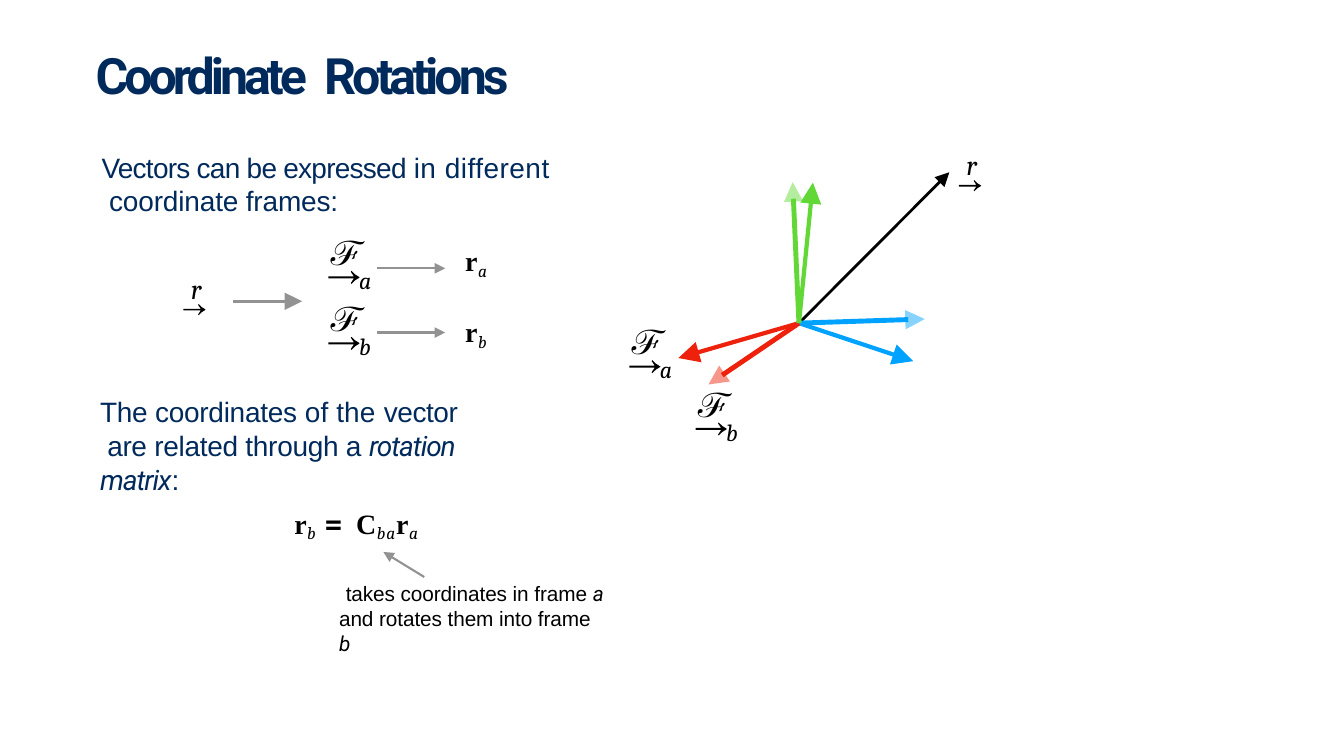
from collections import namedtuple
from dataclasses import dataclass
from math import hypot

from lxml.etree import SubElement
from pptx import Presentation
from pptx.dml.color import RGBColor as Rgb
from pptx.enum.shapes import MSO_CONNECTOR as Connector
from pptx.enum.text import MSO_ANCHOR as Anchor, MSO_AUTO_SIZE as AutoSize, PP_ALIGN as Align
from pptx.oxml.ns import qn
from pptx.util import Cm, Pt


@dataclass(frozen=True)
class Theme:
    navy: str = "002A5C"
    black: str = "000000"
    grey: str = "929292"
    blue: str = "00A2FF"
    red: str = "EE220C"
    green: str = "61D836"
    sans: str = "Arial"
    display: str = "Roboto"
    serif: str = "Times New Roman"
    math: str = "Cambria"
    symbol: str = "DejaVu Sans Mono"
    title: float = 59
    body: float = 33
    note: float = 24.5
    script: float = 39.5
    index: float = 28
    subscript: float = 35.2
    thin: float = 2.47


T = Theme()
BODY = dict(font=T.sans, size=T.body, color=T.navy)
NOTE = dict(font=T.sans, size=T.note)
VECTOR = dict(font=T.serif, size=T.body, bold=True)
SUBSCRIPT = dict(font=T.math, size=T.subscript, italic=True, baseline=-19)


class Box(namedtuple("Box", "left top width height")):
    def at(self, x, y):
        return self.left + x, self.top + y

    def inner(self, x, y, width, height):
        return Box(*self.at(x, y), width, height)


def write(paragraph, text, font=T.sans, size=T.body, color=T.black,
          bold=False, italic=False, spacing=0, baseline=0):
    for number, line in enumerate(text.split("\n")):
        if number:
            paragraph.add_line_break()
        if not line:
            continue
        run = paragraph.add_run()
        run.text = line
        run.font.name, run.font.size = font, Pt(size)
        run.font.bold, run.font.italic = bold, italic
        run.font.color.rgb = Rgb.from_string(color)
        properties = run.font._element
        properties.set("spc", str(round(spacing * 100)))
        if baseline:
            properties.set("baseline", str(baseline * 1000))


def prepare(frame, left=0.03):
    frame.word_wrap = True
    frame.auto_size = AutoSize.NONE
    frame.vertical_anchor = Anchor.TOP
    frame.margin_left = Cm(left)
    frame.margin_top = Cm(0.05)
    frame.margin_right = frame.margin_bottom = 0
    return frame


def text_frame(slide, box, left=0.03):
    return prepare(slide.shapes.add_textbox(*map(Cm, box)).text_frame, left)


def outline(slide, points, color):
    (x, y), *rest = [(Cm(x), Cm(y)) for x, y in points]
    builder = slide.shapes.build_freeform(x, y)
    builder.add_line_segments(rest)
    figure = builder.convert_to_shape()
    figure.shadow.inherit = False
    figure.fill.solid()
    figure.fill.fore_color.rgb = Rgb.from_string(color)
    figure.line.fill.background()
    return figure


def arrow(slide, start, tip, color=T.grey, width=T.thin, head=True):
    shaft = slide.shapes.add_connector(Connector.STRAIGHT, *map(Cm, (*start, *tip)))
    shaft.line.color.rgb = Rgb.from_string(color)
    shaft.line.width = Pt(width)
    if head:
        SubElement(shaft.line._get_or_add_ln(), qn("a:tailEnd"), type="triangle", w="lg", len="lg")
    SubElement(shaft._element.spPr, qn("a:effectLst"))


def faded_arrow(slide, start, tip, color, width=5.77, length=0.81, half=0.4):
    reach = hypot(tip[0] - start[0], tip[1] - start[1])
    ux, uy = ((t - s) / reach for s, t in zip(start, tip))
    back = lambda distance: (tip[0] - ux * distance, tip[1] - uy * distance)
    arrow(slide, start, back(length - 0.12), color, width, head=False)
    bx, by = back(length)
    corners = [(bx - uy * half, by + ux * half), (bx + uy * half, by - ux * half)]
    head = outline(slide, [tip, *corners], color)
    SubElement(head.fill.fore_color._xFill[0], qn("a:alpha"), val="47000")


def vector_mark(slide, start, length, half):
    x, y = start
    tip = x + length
    upper = [(x, 0.15), (tip - 0.86 * half, 0.15), (tip - 1.33 * half, 0.87),
             (tip - 1.24 * half, 1), (tip - 0.67 * half, 0.45), (tip, 0.04)]
    points = [(px, y - rise * half) for px, rise in upper]
    points += [(px, y + rise * half) for px, rise in reversed(upper)]
    outline(slide, points, T.black)


def vector_label(slide, box):
    letter = text_frame(slide, box.inner(0, 0, 0.53, 1.47))
    write(letter.paragraphs[0], "r", font=T.math, italic=True, spacing=-0.1)
    vector_mark(slide, box.at(-0.28, 1.62), 0.92, 0.23)


def frame_label(slide, box, name):
    letter = text_frame(slide, box.inner(0, 0, 1.35, 1.75))
    write(letter.paragraphs[0], "ℱ", font=T.symbol, size=T.script, spacing=3.6)
    vector_mark(slide, box.at(0.06, 1.93), 1.29, 0.27)
    index = text_frame(slide, box.inner(1.3, 1.4, 0.56, 1.27))
    write(index.paragraphs[0], name, font=T.math, size=T.index, italic=True, spacing=1.1)


def heading(slide, box):
    title = slide.shapes.title
    title.left, title.top, title.width, title.height = map(Cm, box)
    line = prepare(title.text_frame).paragraphs[0]
    line.alignment = Align.LEFT
    for text, spacing in (("Coordinate", -4.75), (" ", 5.5), ("Rotations", -4.7)):
        write(line, text, font=T.display, size=T.title, color=T.navy, bold=True, spacing=spacing)


def introduction(slide, box):
    sentence = text_frame(slide, box).paragraphs[0]
    write(sentence, "Vectors can be expressed ", **BODY, spacing=-0.87)
    write(sentence, "in different", **BODY, spacing=0.6)
    write(sentence, "\n coordinate frames:", **BODY, spacing=-0.2)


def frame_mapping(slide, box):
    vector_label(slide, box.inner(0.3, 1.65, 1, 2))
    arrow(slide, box.at(2.1, 2.92), box.at(4.95, 2.92), width=4.12)
    for row, name in enumerate("ab"):
        frame_label(slide, box.inner(5.99, 2.74 * row, 2, 2.7), name)
        level = 1.55 + 2.67 * row
        arrow(slide, box.at(8.05, level), box.at(10.9, level))
        components = text_frame(slide, box.inner(11.63, 0.41 + 2.94 * row, 1.14, 1.47), 0.1)
        write(components.paragraphs[0], "r", **VECTOR, spacing=0.5)
        write(components.paragraphs[0], name, **SUBSCRIPT, spacing=0.7)


def rotation_matrix(slide, box):
    body = text_frame(slide, box, 0)
    relation = body.paragraphs[0]
    equation, takes, rotates = (body.add_paragraph() for _ in range(3))
    for line, indent, before in ((relation, 0.1, 0), (takes, 10.31, 43.8), (rotates, 10.03, 0.2)):
        line._p.get_or_add_pPr().set("marL", str(Cm(indent)))
        line.space_before = Pt(before)

    write(relation, "The coordinates ", **BODY, spacing=-0.3)
    write(relation, "of the ", **BODY, spacing=0.2)
    write(relation, "vector\n are ", **BODY, spacing=-0.5)
    write(relation, "related through a ", **BODY, spacing=-0.35)
    write(relation, "rotation\nmatrix", **{**BODY, "font": T.display}, italic=True, spacing=-1.25)
    write(relation, ":", **BODY, spacing=-1.1)

    equation.alignment = Align.CENTER
    equation.space_before = Pt(10)
    write(equation, "r", **VECTOR, spacing=0.4)
    write(equation, "b", **SUBSCRIPT, spacing=0.6)
    write(equation, " ", **SUBSCRIPT, spacing=6)
    write(equation, "= ", font=T.symbol, bold=True, spacing=-3.4)
    for letter, index in (("C", "ba"), ("r", "a")):
        write(equation, letter, **VECTOR, spacing=0.7)
        write(equation, index, **SUBSCRIPT, spacing=1)

    frame_name = {**NOTE, "font": T.display, "italic": True}
    write(takes, "takes coordinates in frame ", **NOTE, spacing=-0.1)
    write(takes, "a", **frame_name, spacing=-0.6)
    write(rotates, "and rotates them into frame", **NOTE, spacing=-0.1)
    write(rotates, "\nb", **frame_name, spacing=0.1)
    arrow(slide, box.at(13.57, 7.62), box.at(11.87, 6.58))


def frames_diagram(slide, box):
    origin = box.at(7.2, 7.43)
    arrow(slide, origin, box.at(13.45, 1.16), T.black, 3.3)
    for color, x, y in ((T.blue, 11.95, 9.01), (T.red, 2.19, 8.88), (T.green, 7.78, 1.59)):
        arrow(slide, origin, box.at(x, y), color, 4.95)
    for color, x, y in ((T.blue, 12.43, 7.26), (T.red, 3.44, 9.98), (T.green, 6.94, 1.57)):
        faded_arrow(slide, origin, box.at(x, y), color)
    vector_label(slide, box.inner(14.13, 0.1, 1, 2))
    frame_label(slide, box.inner(0.09, 7.31, 2, 2.7), "a")
    frame_label(slide, box.inner(2.85, 9.9, 2, 2.7), "b")


def main():
    deck = Presentation()
    deck.slide_width, deck.slide_height = Cm(55.85), Cm(31.42)
    slide = deck.slides.add_slide(deck.slide_layouts[5])
    heading(slide, Box(3.94, 1.78, 19.1, 2.59))
    introduction(slide, Box(4.19, 6.2, 18.95, 2.87))
    frames_diagram(slide, Box(26, 6, 15, 13))
    frame_mapping(slide, Box(7.6, 9.6, 13, 5.5))
    rotation_matrix(slide, Box(4.06, 16.36, 21.49, 9.65))
    deck.save("out.pptx")


if __name__ == "__main__":
    main()
